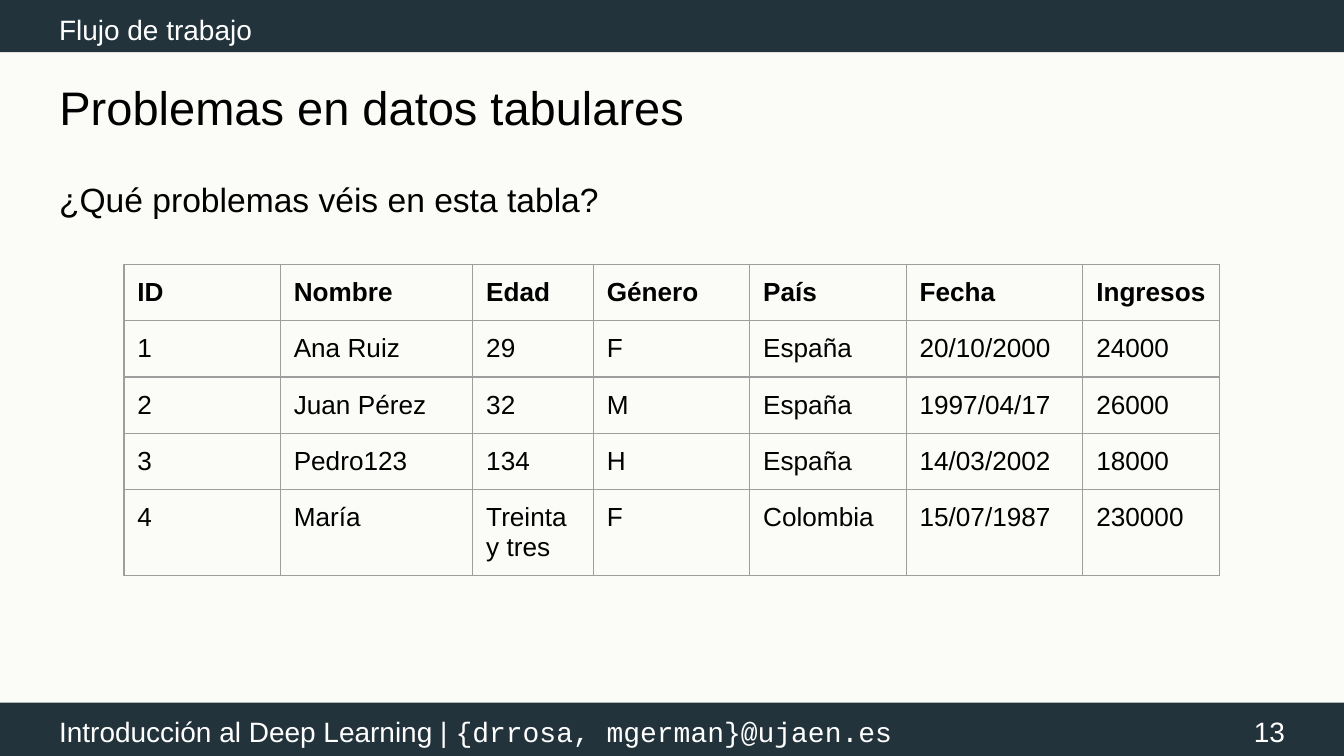
from dataclasses import dataclass

from lxml import etree
from pptx import Presentation
from pptx.dml.color import RGBColor
from pptx.enum import shapes, text
from pptx.oxml.ns import qn
from pptx.util import Pt

WHITE, BLACK, NAVY, CREAM, GREY = "FFFFFF", "000000", "23333C", "FBFCF7", "9E9E9E"
INSET = 7.2
ROW_HEIGHT = 30
COL_WIDTHS = [83.8, 103.1, 64.6, 83.8, 83.8, 94.7, 73]
ROWS = [
    ["ID", "Nombre", "Edad", "Género", "País", "Fecha", "Ingresos"],
    ["1", "Ana Ruiz", "29", "F", "España", "20/10/2000", "24000"],
    ["2", "Juan Pérez", "32", "M", "España", "1997/04/17", "26000"],
    ["3", "Pedro123", "134", "H", "España", "14/03/2002", "18000"],
    ["4", "María", "Treinta y tres", "F", "Colombia", "15/07/1987", "230000"],
]


@dataclass
class Box:
    left: float
    top: float
    width: float
    height: float

    def lengths(self) -> list:
        return [Pt(v) for v in (self.left, self.top, self.width, self.height)]


@dataclass
class Label:
    box: Box
    runs: list[tuple[str, str]]
    size: float
    color: str
    align: text.PP_ALIGN = text.PP_ALIGN.LEFT
    anchor: text.MSO_ANCHOR = text.MSO_ANCHOR.TOP
    spacing: float = 1.0


BARS = [Box(-1.2, 376.4, 722.4, 29.8), Box(-1.2, -1.2, 722.4, 29.2)]
TITLE = Label(Box(24.6, 35, 671, 45.4),
              [("Problemas en datos tabulares", "Arial")], 25.2, BLACK)
LABELS = [
    Label(Box(24.6, 375.4, 464.4, 51),
          [("Introducción al Deep Learning | ", "Arial"),
           ("{drrosa, mgerman}@ujaen.es", "Courier New")], 15, WHITE),
    Label(Box(652.3, 376.2, 43.2, 31), [("13", "Arial")], 15, WHITE,
          text.PP_ALIGN.RIGHT, text.MSO_ANCHOR.MIDDLE),
    Label(Box(24.6, -3, 581, 32.4), [("Flujo de trabajo", "Arial")], 15, WHITE,
          spacing=1.15),
    Label(Box(24.6, 88.6, 447, 31),
          [("¿Qué problemas véis en esta tabla?", "Arial")], 18, BLACK),
]


def rgb(value: str) -> RGBColor:
    return RGBColor.from_string(value)


def set_all(target, values: dict) -> None:
    for name, value in values.items():
        setattr(target, name, value)


def set_font(font, name: str, size: float, color: str, bold: bool = False) -> None:
    set_all(font, {"name": name, "size": Pt(size), "bold": bold})
    font.color.rgb = rgb(color)


def margins() -> dict:
    return {f"margin_{side}": Pt(INSET) for side in ("left", "top", "right", "bottom")}


def fill_label(sp, label: Label) -> None:
    """Place a text shape and write its formatted runs."""
    set_all(sp, dict(zip(("left", "top", "width", "height"), label.box.lengths())))
    tf = sp.text_frame
    set_all(tf, margins() | {"word_wrap": True, "vertical_anchor": label.anchor,
                             "auto_size": text.MSO_AUTO_SIZE.NONE})
    p = tf.paragraphs[0]
    set_all(p, {"alignment": label.align, "line_spacing": label.spacing})
    for content, font_name in label.runs:
        r = p.add_run()
        r.text = content
        set_font(r.font, font_name, label.size, label.color)


def add_bar(s, box: Box) -> None:
    sp = s.shapes.add_shape(shapes.MSO_SHAPE.RECTANGLE, *box.lengths())
    sp.shadow.inherit = False
    sp.fill.solid()
    sp.fill.fore_color.rgb = rgb(NAVY)
    sp.line.fill.background()


def add_borders(cell, color: str, width: float) -> None:
    tc_pr = cell._tc.get_or_add_tcPr()
    for side in "LRTB":
        line = etree.SubElement(tc_pr, qn(f"a:ln{side}"), w=str(Pt(width)))
        fill = etree.SubElement(line, qn("a:solidFill"))
        etree.SubElement(fill, qn("a:srgbClr"), val=color)


def add_people_table(s) -> None:
    box = Box(66.4, 141.7, sum(COL_WIDTHS), ROW_HEIGHT * len(ROWS))
    table = s.shapes.add_table(len(ROWS), len(COL_WIDTHS), *box.lengths()).table
    set_all(table, {"first_row": False, "horz_banding": False})
    for column, width in zip(table.columns, COL_WIDTHS):
        column.width = Pt(width)
    for i, values in enumerate(ROWS):
        for j, value in enumerate(values):
            cell = table.cell(i, j)
            set_all(cell, margins() | {"text": value})
            add_borders(cell, GREY, 0.75)
            cell.fill.background()
            r = cell.text_frame.paragraphs[0].runs[0]
            set_font(r.font, "Arial", 14, BLACK, bold=i == 0)


def main() -> None:
    prs = Presentation()
    set_all(prs, {"slide_width": Pt(720), "slide_height": Pt(405)})
    s = prs.slides.add_slide(prs.slide_layouts[5])
    s.background.fill.solid()
    s.background.fill.fore_color.rgb = rgb(CREAM)
    for bar in BARS:
        add_bar(s, bar)
    fill_label(s.shapes.title, TITLE)
    for label in LABELS:
        fill_label(s.shapes.add_textbox(*label.box.lengths()), label)
    add_people_table(s)
    prs.save("out.pptx")


if __name__ == "__main__":
    main()
